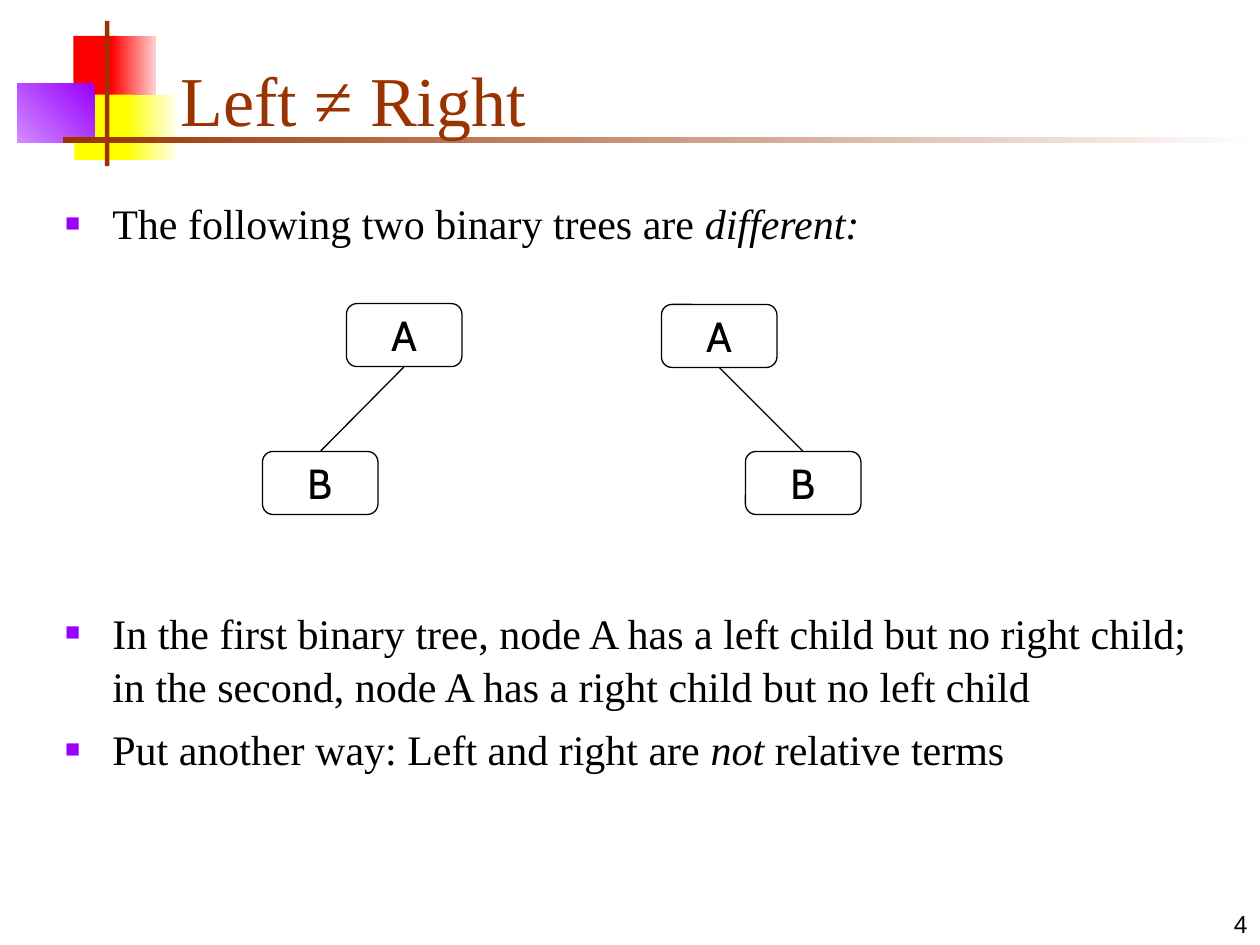
"""Build the slide that contrasts a left child with a right child in binary trees."""
from typing import NamedTuple

from lxml import etree
from pptx import Presentation
from pptx.dml.color import RGBColor
from pptx.enum import shapes, text
from pptx.oxml import ns
from pptx.util import Pt

SERIF = "Times New Roman"
BLACK, BROWN, PURPLE = "000000", "993300", "9900FF"


class Box(NamedTuple):
    x: float
    y: float
    w: float
    h: float


class Block(NamedTuple):
    box: Box
    colors: tuple
    angle: float = 0


class Run(NamedTuple):
    words: str
    italic: bool = False


class Tree(NamedTuple):
    parent: tuple
    child: tuple


BLOCKS = [
    Block(Box(42, 20.5, 25, 37.5), ("FF0000",)),
    Block(Box(63.5, 20.5, 25.5, 37.5), ("FF0000", "FFD1D1")),
    Block(Box(42.5, 54, 33, 37.5), ("FFFF00",)),
    Block(Box(72, 54, 29, 37.5), ("FFFF00", "FFFFF0")),
    Block(Box(10, 48, 44, 33.5), (PURPLE, "D18BFF"), 225),
    Block(Box(60, 12, 2.5, 83), (BROWN,)),
    Block(Box(36, 78, 684, 4), (BROWN, "FFFFFF")),
]
LISTS = [
    (Box(30, 108, 672, 150), [
        [Run("The following two binary trees are "), Run("different:", True)],
    ]),
    (Box(30, 342, 657, 141), [
        [Run("In the first binary tree, node A has a left child but no right child; "
             "in the second, node A has a right child but no left child")],
        [Run("Put another way: Left and right are "), Run("not", True),
         Run(" relative terms")],
    ]),
]
TREES = [Tree((198, 173.5), (150, 258)), Tree((378, 174), (426, 258))]


def rgb(value: str) -> RGBColor:
    """Turn a hex string into a colour."""
    return RGBColor.from_string(value)


def points(box: Box) -> list:
    """Convert a box to lengths."""
    return [Pt(v) for v in box]


def add_run(p, run: Run, font: str, size: float, color: str) -> None:
    """Append one formatted run to a paragraph."""
    r = p.add_run()
    r.text = run.words
    r.font.name, r.font.size = font, Pt(size)
    r.font.italic = run.italic
    r.font.color.rgb = rgb(color)


def add_block(s, block: Block) -> None:
    """Draw a decorative rectangle with a solid or gradient fill."""
    sp = s.shapes.add_shape(shapes.MSO_SHAPE.RECTANGLE, *points(block.box))
    sp.shadow.inherit = False
    sp.line.fill.background()
    if len(block.colors) == 1:
        sp.fill.solid()
        sp.fill.fore_color.rgb = rgb(block.colors[0])
        return
    sp.fill.gradient()
    sp.fill.gradient_angle = block.angle
    for stop, color in zip(sp.fill.gradient_stops, block.colors):
        stop.color.rgb = rgb(color)


def place(sp, box: Box, anchor):
    """Move a placeholder in front of the decoration and return its text frame."""
    sp.left, sp.top, sp.width, sp.height = points(box)
    sp.element.getparent().append(sp.element)
    tf = sp.text_frame
    tf.auto_size = text.MSO_AUTO_SIZE.NONE
    tf.word_wrap = True
    tf.vertical_anchor = anchor
    return tf


def add_bullet(p) -> None:
    """Give a paragraph a small purple square with a hanging indent."""
    pPr = p._p.get_or_add_pPr()
    pPr.set("marL", str(Pt(27)))
    pPr.set("indent", str(Pt(-27)))
    color = etree.SubElement(pPr, ns.qn("a:buClr"))
    etree.SubElement(color, ns.qn("a:srgbClr"), val=PURPLE)
    etree.SubElement(pPr, ns.qn("a:buSzPct"), val="60000")
    etree.SubElement(pPr, ns.qn("a:buFont"), typeface=SERIF)
    etree.SubElement(pPr, ns.qn("a:buChar"), char="■")


def fill_list(sp, box: Box, items: list) -> None:
    """Write a bulleted list into a body placeholder."""
    tf = place(sp, box, text.MSO_ANCHOR.TOP)
    for i, runs in enumerate(items):
        p = tf.add_paragraph() if i else tf.paragraphs[0]
        add_bullet(p)
        p.space_before = Pt(6 if i else 0)
        p.line_spacing = 1.05
        for run in runs:
            add_run(p, run, SERIF, 24, BLACK)


def add_node(s, label: str, x: float, y: float):
    """Draw a rounded tree node."""
    sp = s.shapes.add_shape(shapes.MSO_SHAPE.ROUNDED_RECTANGLE,
                            *points(Box(x, y, 66, 36)))
    sp.shadow.inherit = False
    sp.fill.background()
    sp.line.color.rgb, sp.line.width = rgb(BLACK), Pt(0.75)
    tf = sp.text_frame
    tf.word_wrap = False
    tf.vertical_anchor = text.MSO_ANCHOR.MIDDLE
    p = tf.paragraphs[0]
    p.alignment = text.PP_ALIGN.CENTER
    add_run(p, Run(label), "Cabin", 24, BLACK)
    return sp


def add_tree(s, tree: Tree) -> None:
    """Draw a parent, its child and the edge between them."""
    parent = add_node(s, "A", *tree.parent)
    child = add_node(s, "B", *tree.child)
    edge = s.shapes.add_connector(shapes.MSO_CONNECTOR.STRAIGHT, 0, 0, 0, 0)
    edge.begin_connect(parent, 2)
    edge.end_connect(child, 0)
    edge.line.color.rgb, edge.line.width = rgb(BLACK), Pt(0.75)
    etree.SubElement(edge.element.spPr, ns.qn("a:effectLst"))


def add_page_number(s, number: str) -> None:
    """Write the page number in the bottom right corner."""
    tf = s.shapes.add_textbox(*points(Box(570, 504, 150, 36))).text_frame
    tf.word_wrap = True
    tf.vertical_anchor = text.MSO_ANCHOR.BOTTOM
    p = tf.paragraphs[0]
    p.alignment = text.PP_ALIGN.RIGHT
    add_run(p, Run(number), "Arial", 14, BLACK)


def main() -> None:
    """Assemble and save the slide."""
    prs = Presentation()
    prs.slide_width, prs.slide_height = Pt(720), Pt(540)
    s = prs.slides.add_slide(prs.slide_layouts[3])
    title, *bodies = list(s.placeholders)
    for block in BLOCKS:
        add_block(s, block)
    add_page_number(s, "4")
    p = place(title, Box(96, 18, 613.5, 66), text.MSO_ANCHOR.BOTTOM).paragraphs[0]
    p.alignment = text.PP_ALIGN.LEFT
    add_run(p, Run("Left ≠ Right"), SERIF, 40, BROWN)
    for sp, (box, items) in zip(bodies, LISTS):
        fill_list(sp, box, items)
    for tree in TREES:
        add_tree(s, tree)
    prs.save("out.pptx")


if __name__ == "__main__":
    main()
